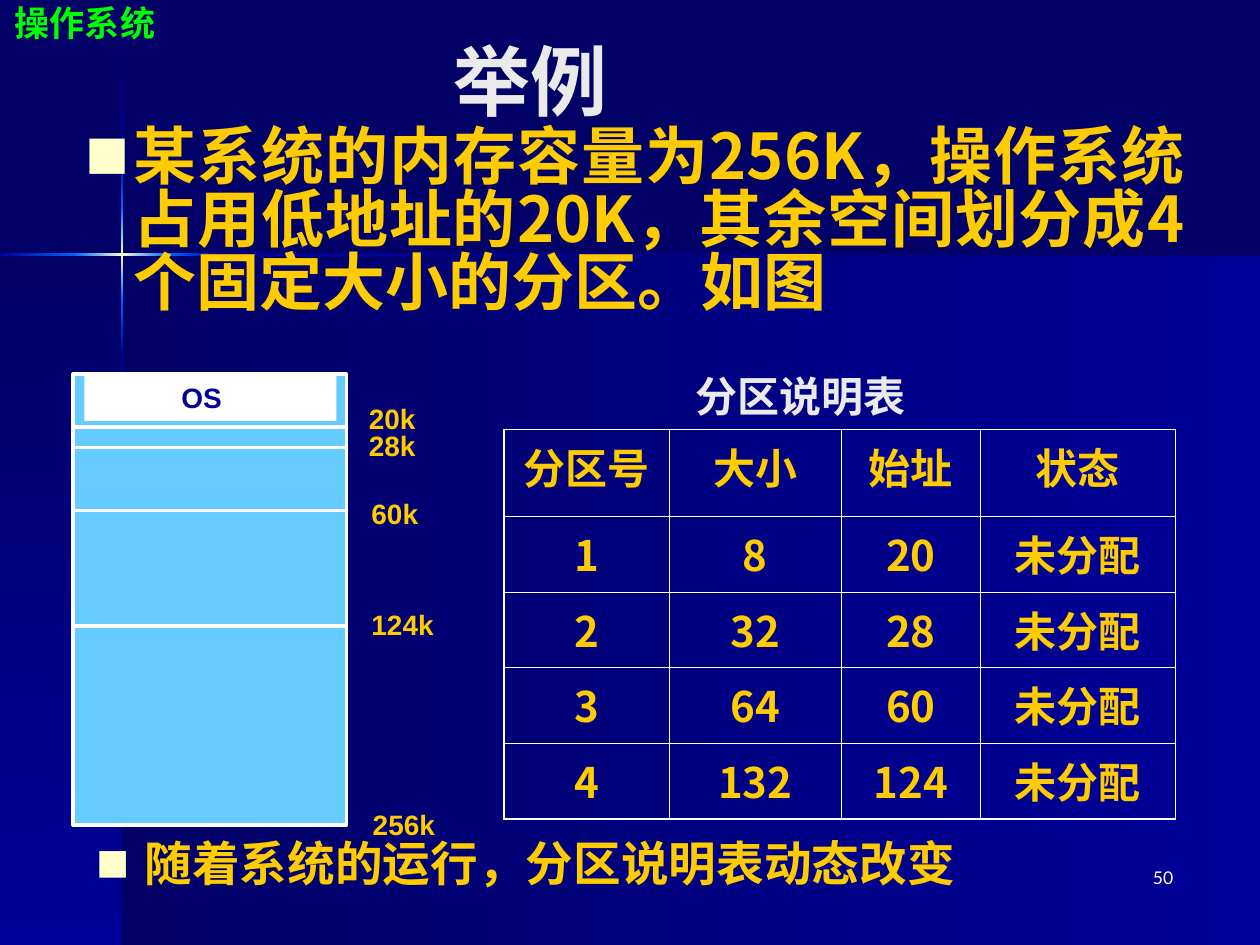
import dataclasses

import lxml.etree
import pptx
import pptx.dml.color
import pptx.enum.shapes
import pptx.enum.text
import pptx.oxml
import pptx.oxml.ns
import pptx.shapes.autoshape
import pptx.slide
import pptx.table
import pptx.text.text
import pptx.util

PX = 9144
RGBColor = pptx.dml.color.RGBColor
Align = pptx.enum.text.PP_ALIGN
Anchor = pptx.enum.text.MSO_ANCHOR
qn = pptx.oxml.ns.qn

NAVY = RGBColor(0x00, 0x00, 0x66)
BLUE = RGBColor(0x00, 0x00, 0x99)
BRIGHT = RGBColor(0x00, 0x66, 0xFF)
CREAM = RGBColor(0xFF, 0xFF, 0xCC)
WHITE = RGBColor(0xFF, 0xFF, 0xFF)
SILVER = RGBColor(0xEA, 0xEA, 0xEA)
GOLD = RGBColor(0xFF, 0xCC, 0x00)
GREEN = RGBColor(0x00, 0xFF, 0x00)
SKY = RGBColor(0x66, 0xCC, 0xFF)

CHINESE = "Noto Sans CJK SC"
LATIN = "Lato"
LABEL = "Arial"


@dataclasses.dataclass(frozen=True)
class Box:
    left: int
    top: int
    width: int
    height: int

    def lengths(self) -> tuple[int, int, int, int]:
        return tuple(value * PX for value in dataclasses.astuple(self))


@dataclasses.dataclass(frozen=True)
class Style:
    size: float
    color: RGBColor
    font: str = CHINESE
    bold: bool = True


@dataclasses.dataclass(frozen=True)
class Band:
    box: Box
    colors: tuple[RGBColor, ...]
    angle: int


@dataclasses.dataclass(frozen=True)
class Label:
    text: str
    left: int
    top: int
    width: int


BANDS = (
    Band(Box(97, 202, 903, 548), (NAVY, BLUE), 0),
    Band(Box(0, 202, 97, 548), (NAVY, BLUE), 90),
    Band(Box(96, 1, 2, 120), (NAVY, BLUE), 90),
    Band(Box(96, 282, 2, 468), (BLUE, NAVY), 90),
    Band(Box(177, 201, 823, 2), (BLUE, NAVY), 0),
    Band(Box(96, 238, 2, 44), (BRIGHT, BLUE), 90),
    Band(Box(96, 121, 2, 44), (BLUE, BRIGHT), 90),
    Band(Box(96, 165, 2, 73), (BRIGHT, CREAM, BRIGHT), 90),
    Band(Box(0, 201, 61, 2), (BLUE, BRIGHT), 0),
    Band(Box(133, 201, 44, 2), (BRIGHT, BLUE), 0),
    Band(Box(60, 201, 73, 2), (BRIGHT, CREAM, BRIGHT), 0),
)
MEMORY = Box(58, 297, 217, 358)
BOUNDARIES = (339, 355, 405, 497)
ADDRESSES = (
    Label("20k", 283, 314, 67),
    Label("28k", 283, 335, 67),
    Label("60k", 285, 389, 67),
    Label("124k", 285, 477, 94),
    Label("256k", 286, 636, 92),
)
COLUMN_WIDTHS = (131, 137, 110, 155)
ROW_HEIGHTS = (69, 60, 60, 60, 60)
PARTITIONS = (
    ("分区号", "大小", "始址", "状态"),
    ("1", "8", "20", "未分配"),
    ("2", "32", "28", "未分配"),
    ("3", "64", "60", "未分配"),
    ("4", "132", "124", "未分配"),
)


def add_band(slide: pptx.slide.Slide, band: Band) -> None:
    shape = add_rectangle(slide, band.box)
    last = len(band.colors) - 1
    stops = "".join(
        f'<a:gs pos="{100000 * index // last}"><a:srgbClr val="{color}"/></a:gs>'
        for index, color in enumerate(band.colors)
    )
    gradient = pptx.oxml.parse_xml(
        f'<a:gradFill {pptx.oxml.ns.nsdecls("a")}><a:gsLst>{stops}</a:gsLst>'
        f'<a:lin ang="{band.angle * 60000}" scaled="0"/></a:gradFill>'
    )
    shape._element.spPr.find(qn("a:prstGeom")).addnext(gradient)


def add_rectangle(slide: pptx.slide.Slide, box: Box) -> pptx.shapes.autoshape.Shape:
    shape = slide.shapes.add_shape(pptx.enum.shapes.MSO_SHAPE.RECTANGLE, *box.lengths())
    shape.shadow.inherit = False
    shape.line.fill.background()
    return shape


def add_rule(slide: pptx.slide.Slide, top: int) -> None:
    rule = slide.shapes.add_connector(
        pptx.enum.shapes.MSO_CONNECTOR.STRAIGHT,
        MEMORY.left * PX, top * PX, (MEMORY.left + MEMORY.width) * PX, top * PX,
    )
    rule.line.color.rgb = WHITE
    rule.line.width = pptx.util.Pt(2)
    lxml.etree.SubElement(rule._element.spPr, qn("a:effectLst"))


def write(
    frame: pptx.text.text.TextFrame, text: str, style: Style,
    align: Align = Align.LEFT, anchor: Anchor = Anchor.TOP,
    inset_left: int = 10, inset_top: int = 5,
) -> pptx.text.text._Paragraph:
    frame.word_wrap = True
    frame.auto_size = pptx.enum.text.MSO_AUTO_SIZE.NONE
    frame.vertical_anchor = anchor
    frame.margin_left, frame.margin_right = inset_left * PX, 10 * PX
    frame.margin_top, frame.margin_bottom = inset_top * PX, 5 * PX
    paragraph = frame.paragraphs[0]
    paragraph.alignment = align
    paragraph.space_before = pptx.util.Pt(0)
    add_run(paragraph, text, style)
    return paragraph


def add_run(paragraph: pptx.text.text._Paragraph, text: str, style: Style) -> None:
    run = paragraph.add_run()
    run.text = text
    run.font.size = pptx.util.Pt(style.size)
    run.font.bold = style.bold
    run.font.color.rgb = style.color
    run.font.name = style.font
    east_asian = lxml.etree.SubElement(run._r.get_or_add_rPr(), qn("a:ea"))
    east_asian.set("typeface", CHINESE)


def add_bullet(paragraph: pptx.text.text._Paragraph, line_spacing: float) -> None:
    properties = paragraph._p.get_or_add_pPr()
    properties.set("marL", str(38 * PX))
    properties.set("indent", str(-38 * PX))
    color = lxml.etree.SubElement(properties, qn("a:buClr"))
    lxml.etree.SubElement(color, qn("a:srgbClr")).set("val", str(CREAM))
    lxml.etree.SubElement(properties, qn("a:buSzPct")).set("val", "70000")
    lxml.etree.SubElement(properties, qn("a:buFont")).set("typeface", CHINESE)
    lxml.etree.SubElement(properties, qn("a:buChar")).set("char", "■")
    paragraph.line_spacing = line_spacing


def add_text(slide: pptx.slide.Slide, box: Box, text: str, style: Style, **layout) -> pptx.text.text._Paragraph:
    return write(slide.shapes.add_textbox(*box.lengths()).text_frame, text, style, **layout)


def place(shape: pptx.shapes.autoshape.Shape, box: Box) -> None:
    shape.left, shape.top, shape.width, shape.height = box.lengths()


def add_border(cell: pptx.table._Cell, side: str, outer: bool) -> None:
    line = lxml.etree.SubElement(cell._tc.get_or_add_tcPr(), qn(f"a:ln{side}"))
    line.set("w", str(pptx.util.Pt(1.08 if outer else 0.45)))
    fill = lxml.etree.SubElement(line, qn("a:solidFill"))
    lxml.etree.SubElement(fill, qn("a:srgbClr")).set("val", str(WHITE))


def add_partition_table(slide: pptx.slide.Slide) -> None:
    box = Box(400, 341, sum(COLUMN_WIDTHS), sum(ROW_HEIGHTS))
    last_row, last_column = len(ROW_HEIGHTS) - 1, len(COLUMN_WIDTHS) - 1
    table = slide.shapes.add_table(last_row + 1, last_column + 1, *box.lengths()).table
    table.first_row = table.horz_banding = False
    for column, width in zip(table.columns, COLUMN_WIDTHS):
        column.width = width * PX
    for row, height in zip(table.rows, ROW_HEIGHTS):
        row.height = height * PX
    for row, values in enumerate(PARTITIONS):
        for column, value in enumerate(values):
            cell = table.cell(row, column)
            paragraph = cell.text_frame.paragraphs[0]
            paragraph.alignment = Align.CENTER
            add_run(paragraph, value, Style(24, GOLD))
            cell.margin_left = cell.margin_right = 10 * PX
            cell.margin_top = cell.margin_bottom = 5 * PX
            add_border(cell, "L", column == 0)
            add_border(cell, "R", column == last_column)
            add_border(cell, "T", row == 0)
            add_border(cell, "B", row == last_row)
            cell.fill.background()


def add_memory_map(slide: pptx.slide.Slide) -> None:
    memory = add_rectangle(slide, MEMORY)
    memory.fill.solid()
    memory.fill.fore_color.rgb = SKY
    memory.line.color.rgb = WHITE
    memory.line.width = pptx.util.Pt(2)
    for top in BOUNDARIES:
        add_rule(slide, top)
    for label in ADDRESSES:
        add_text(slide, Box(label.left, label.top, label.width, 37), label.text, Style(16, GOLD, LABEL))
    system = add_rectangle(slide, Box(67, 297, 200, 37))
    system.fill.solid()
    system.fill.fore_color.rgb = WHITE
    write(system.text_frame, "OS", Style(16, BLUE, LABEL), inset_left=77)


def main() -> None:
    presentation = pptx.Presentation()
    presentation.slide_width, presentation.slide_height = 1000 * PX, 750 * PX
    slide = presentation.slides.add_slide(presentation.slide_layouts[1])
    slide.background.fill.solid()
    slide.background.fill.fore_color.rgb = NAVY
    title, body = slide.shapes.title, slide.placeholders[1]
    for band in BANDS:
        add_band(slide, band)
    for placeholder in (title, body):
        slide.shapes._spTree.append(placeholder._element)
    place(title, Box(350, 17, 258, 92))
    write(title.text_frame, "举例", Style(44, SILVER, LATIN), anchor=Anchor.MIDDLE)
    place(body, Box(58, 92, 892, 200))
    problem = "某系统的内存容量为256K，操作系统占用低地址的20K，其余空间划分成4个固定大小的分区。如图"
    add_bullet(write(body.text_frame, problem, Style(36, GOLD), align=Align.JUSTIFY, inset_top=11), 0.83)
    add_text(slide, Box(733, 683, 208, 50), "50", Style(10, WHITE, LATIN, False), align=Align.RIGHT)
    add_text(slide, Box(2, -1, 133, 44), "操作系统", Style(20, GREEN), inset_top=2)
    add_memory_map(slide)
    add_partition_table(slide)
    remark = "随着系统的运行，分区说明表动态改变"
    add_bullet(add_text(slide, Box(67, 667, 917, 58), remark, Style(27.2, GOLD), align=Align.JUSTIFY, inset_top=0), 0.9)
    add_text(slide, Box(542, 285, 208, 58), "分区说明表", Style(24, SILVER), anchor=Anchor.MIDDLE)
    presentation.save("out.pptx")


if __name__ == "__main__":
    main()
